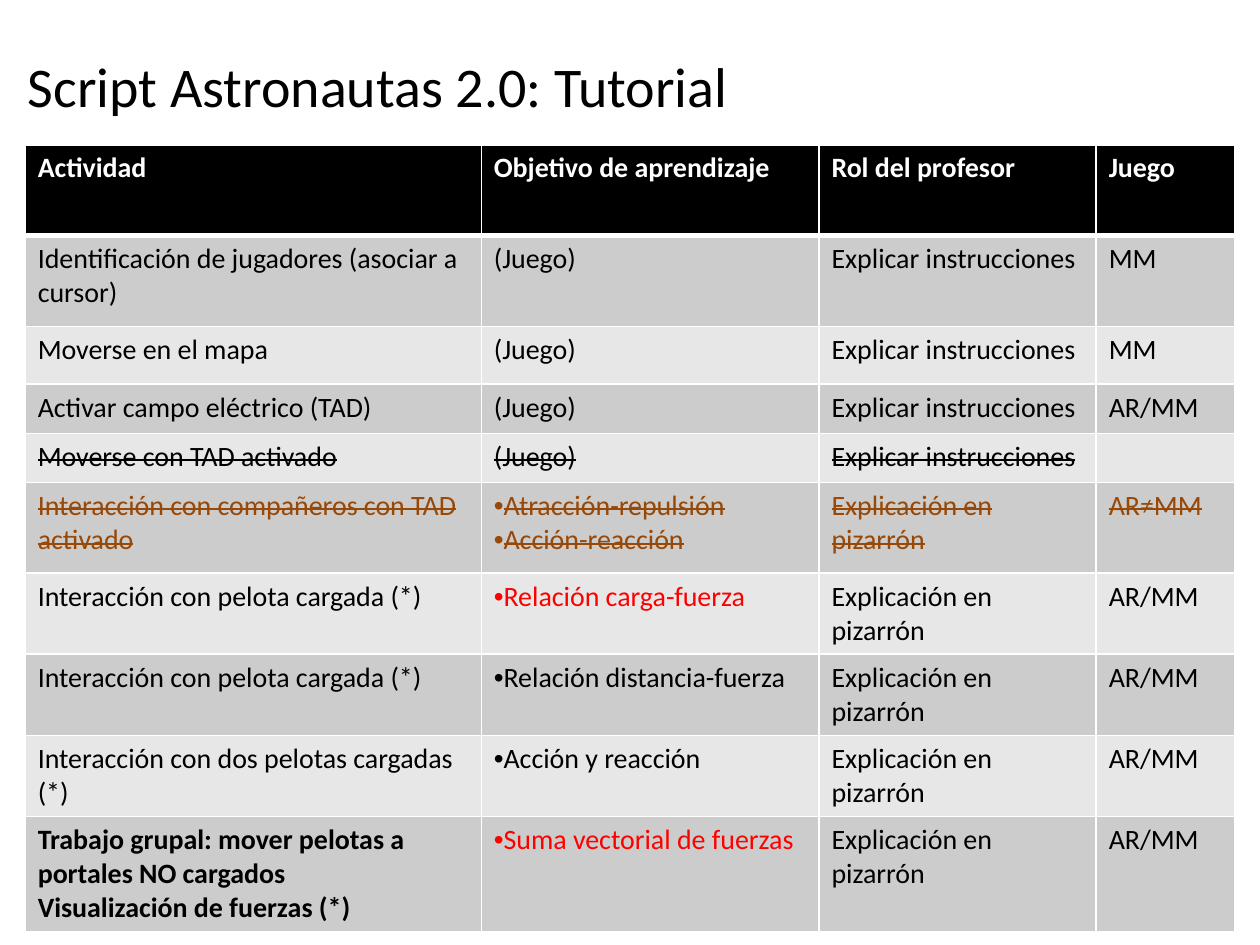
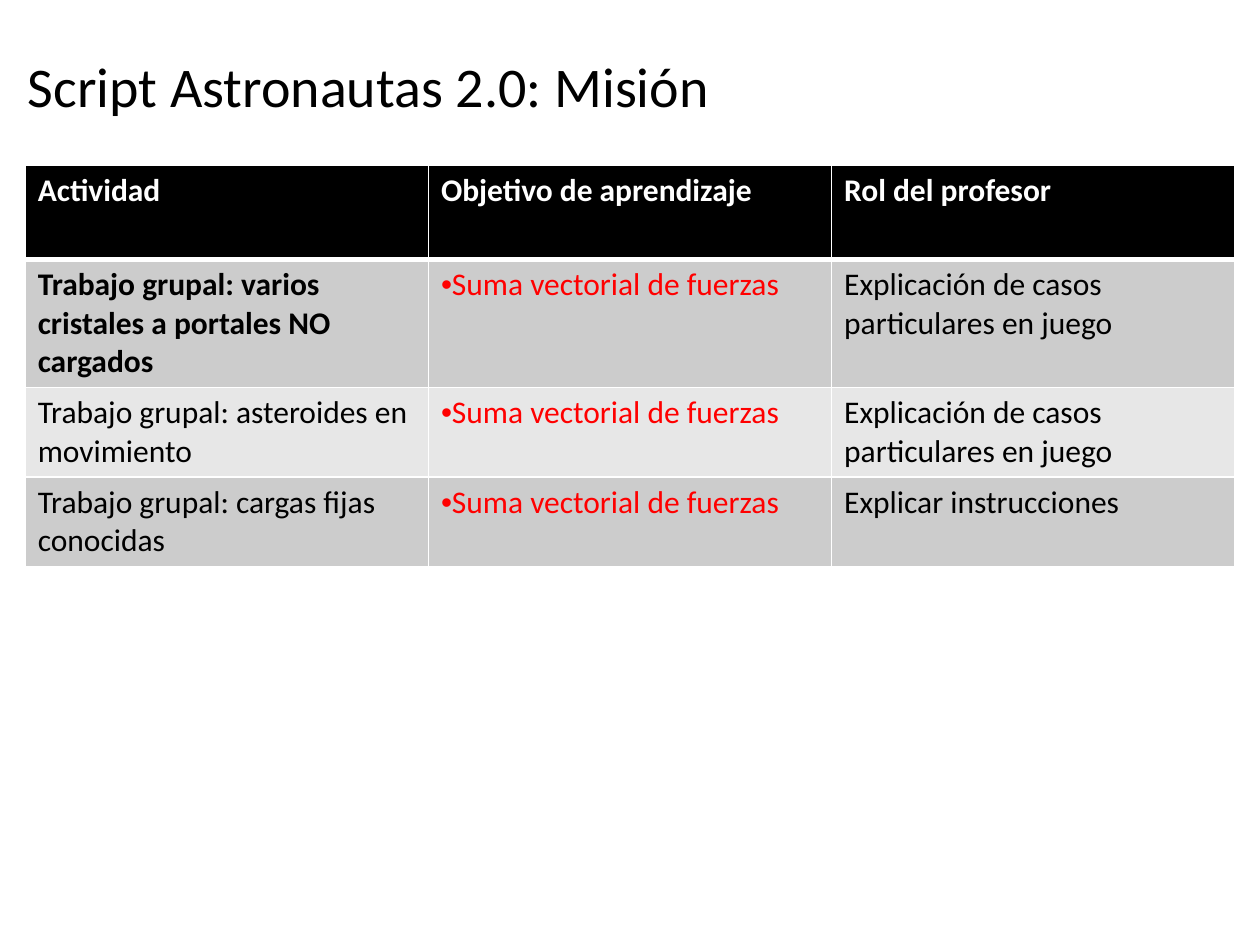
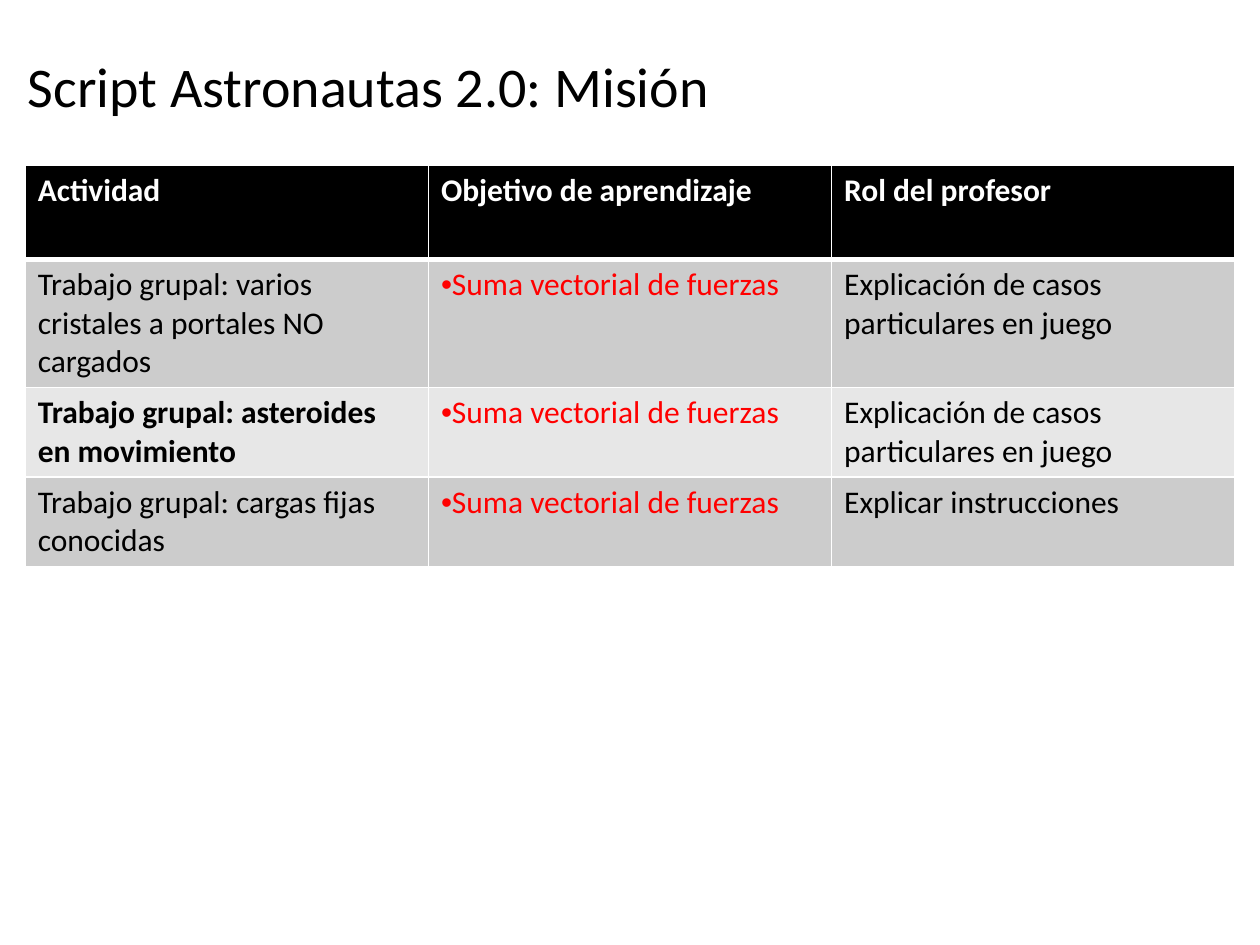
from dataclasses import dataclass

from lxml.etree import SubElement
from pptx import Presentation
from pptx.dml.color import RGBColor
from pptx.enum.text import MSO_ANCHOR, MSO_AUTO_SIZE, PP_ALIGN
from pptx.oxml.ns import qn
from pptx.util import Inches, Pt


@dataclass(frozen=True)
class Theme:
    font: str = "Calibri"
    ink: str = "000000"
    paper: str = "FFFFFF"
    highlight: str = "FF0000"
    dropped: str = "984807"
    bands: tuple = ("CCCCCC", "E7E7E7")
    title_size: int = 32
    tutorial_size: int = 16
    mission_size: int = 18
    rule: int = 1
    header_rule: int = 3


@dataclass(frozen=True)
class Entry:
    text: str
    color: str = "000000"
    bold: bool = False
    strike: bool = False
    bullet: bool = False


THEME = Theme()
GRID_COLUMNS, GRID_ROWS = 100, 75
GRID_STEP = Inches(0.1)
TABLE_LEFT = 2
HEADINGS = ["Actividad", "Objetivo de aprendizaje", "Rol del profesor", "Juego"]
GAME = "(Juego)"
INSTRUCTIONS = "Explicar instrucciones"
BLACKBOARD = "Explicación en pizarrón"
CASES = "Explicación de casos particulares en juego"
SHARED_GAME = "AR/MM"
CHARGED_BALL = "Interacción con pelota cargada (*)"


def grid(steps):
    return round(steps * GRID_STEP)


def goal(text, **format):
    return Entry(text, bullet=True, **format)


VECTOR_SUM = goal("Suma vectorial de fuerzas", color=THEME.highlight)


def struck(*texts, **format):
    return [Entry(text, strike=True, **format) for text in texts]


TUTORIAL = [
    ["Identificación de jugadores (asociar a cursor)", GAME, INSTRUCTIONS, "MM"],
    ["Moverse en el mapa", GAME, INSTRUCTIONS, "MM"],
    ["Activar campo eléctrico (TAD)", GAME, INSTRUCTIONS, SHARED_GAME],
    struck("Moverse con TAD activado", GAME, INSTRUCTIONS, ""),
    [
        *struck("Interacción con compañeros con TAD activado", color=THEME.dropped),
        goal("Atracción-repulsión\nAcción-reacción", color=THEME.dropped, strike=True),
        *struck(BLACKBOARD, "AR≠MM", color=THEME.dropped),
    ],
    [CHARGED_BALL, goal("Relación carga-fuerza", color=THEME.highlight),
     BLACKBOARD, SHARED_GAME],
    [CHARGED_BALL, goal("Relación distancia-fuerza"), BLACKBOARD, SHARED_GAME],
    ["Interacción con dos pelotas cargadas (*)", goal("Acción y reacción"),
     BLACKBOARD, SHARED_GAME],
    [Entry("Trabajo grupal: mover pelotas a portales NO cargados\n"
           "Visualización de fuerzas (*)", bold=True),
     VECTOR_SUM, BLACKBOARD, SHARED_GAME],
]

MISSION = [
    ("Trabajo grupal: varios cristales a portales NO cargados", CASES),
    ("Trabajo grupal: asteroides en movimiento", CASES),
    ("Trabajo grupal: cargas fijas conocidas", INSTRUCTIONS),
]


def write(frame, text, *, size, color=THEME.ink, bold=False, strike=False, bullet=False):
    for index, line in enumerate(text.split("\n")):
        paragraph = frame.add_paragraph() if index else frame.paragraphs[0]
        paragraph.alignment = PP_ALIGN.LEFT
        if bullet:
            add_bullet(paragraph)
        if not line:
            SubElement(paragraph._p, qn("a:endParaRPr"), sz=str(size * 100))
            continue
        run = paragraph.add_run()
        run.text = line
        run.font.name = THEME.font
        run.font.size = Pt(size)
        run.font.bold = bold
        run.font.color.rgb = RGBColor.from_string(color)
        if strike:
            run._r.get_or_add_rPr().set("strike", "sngStrike")


def add_bullet(paragraph):
    properties = paragraph._p.get_or_add_pPr()
    properties.set("marL", "0")
    properties.set("indent", "0")
    SubElement(properties, qn("a:buFont"), typeface="Arial")
    SubElement(properties, qn("a:buChar"), char="•")


def rule_cell(cell, **widths):
    properties = cell._tc.get_or_add_tcPr()
    for side in "LRTB":
        width = Pt(widths.get(side, THEME.rule))
        line = SubElement(properties, qn(f"a:ln{side}"), w=str(width))
        fill = SubElement(line, qn("a:solidFill"))
        SubElement(fill, qn("a:srgbClr"), val=THEME.paper)


def fill_cell(cell, entry, color, size):
    cell.fill.solid()
    cell.fill.fore_color.rgb = RGBColor.from_string(color)
    write(cell.text_frame, entry.text, size=size, color=entry.color,
          bold=entry.bold, strike=entry.strike, bullet=entry.bullet)


def add_title(slide, text):
    title = slide.shapes.title
    title.left, title.top = grid(1.2), grid(0.5)
    title.width, title.height = grid(90), grid(12.5)
    title.text_frame.vertical_anchor = MSO_ANCHOR.MIDDLE
    title.text_frame.auto_size = MSO_AUTO_SIZE.NONE
    write(title.text_frame, text, size=THEME.title_size)


def add_activities(slide, activities, *, top, widths, heights, size):
    table = slide.shapes.add_table(
        len(heights), len(widths), grid(TABLE_LEFT), grid(top),
        grid(sum(widths)), grid(sum(heights))).table
    table.first_row = table.horz_banding = False
    for column, width in zip(table.columns, widths):
        column.width = grid(width)
    for row, height in zip(table.rows, heights):
        row.height = grid(height)

    for column, heading in enumerate(HEADINGS[:len(widths)]):
        cell = table.cell(0, column)
        rule_cell(cell, B=THEME.header_rule)
        fill_cell(cell, Entry(heading, THEME.paper, bold=True), THEME.ink, size)

    for row, activity in enumerate(activities, start=1):
        band = THEME.bands[(row - 1) % len(THEME.bands)]
        for column, content in enumerate(activity):
            cell = table.cell(row, column)
            rule_cell(cell, T=THEME.header_rule if row == 1 else THEME.rule)
            entry = content if isinstance(content, Entry) else Entry(content)
            fill_cell(cell, entry, band, size)


def add_slide(deck, topic):
    slide = deck.slides.add_slide(deck.slide_layouts[5])
    add_title(slide, f"Script Astronautas 2.0: {topic}")
    return slide


def add_mission(deck, current):
    activities = [
        [Entry(task, bold=index == current), VECTOR_SUM, role]
        for index, (task, role) in enumerate(MISSION)
    ]
    add_activities(add_slide(deck, "Misión"), activities, top=13.1,
                   widths=[32] * 3, heights=[7.5, 7.5, 6.3, 5.5],
                   size=THEME.mission_size)


def main():
    deck = Presentation()
    deck.slide_width = grid(GRID_COLUMNS)
    deck.slide_height = grid(GRID_ROWS)
    add_activities(add_slide(deck, "Tutorial"), TUTORIAL, top=11.5,
                   widths=[36.2, 26.8, 22, 11],
                   heights=[7.2, 7.2, 4.6, 3.9, 3.9, 7.2, 6.2, 6.2, 6.2, 8.7],
                   size=THEME.tutorial_size)
    for current in range(2):
        add_mission(deck, current)
    deck.save("out.pptx")


if __name__ == "__main__":
    main()
